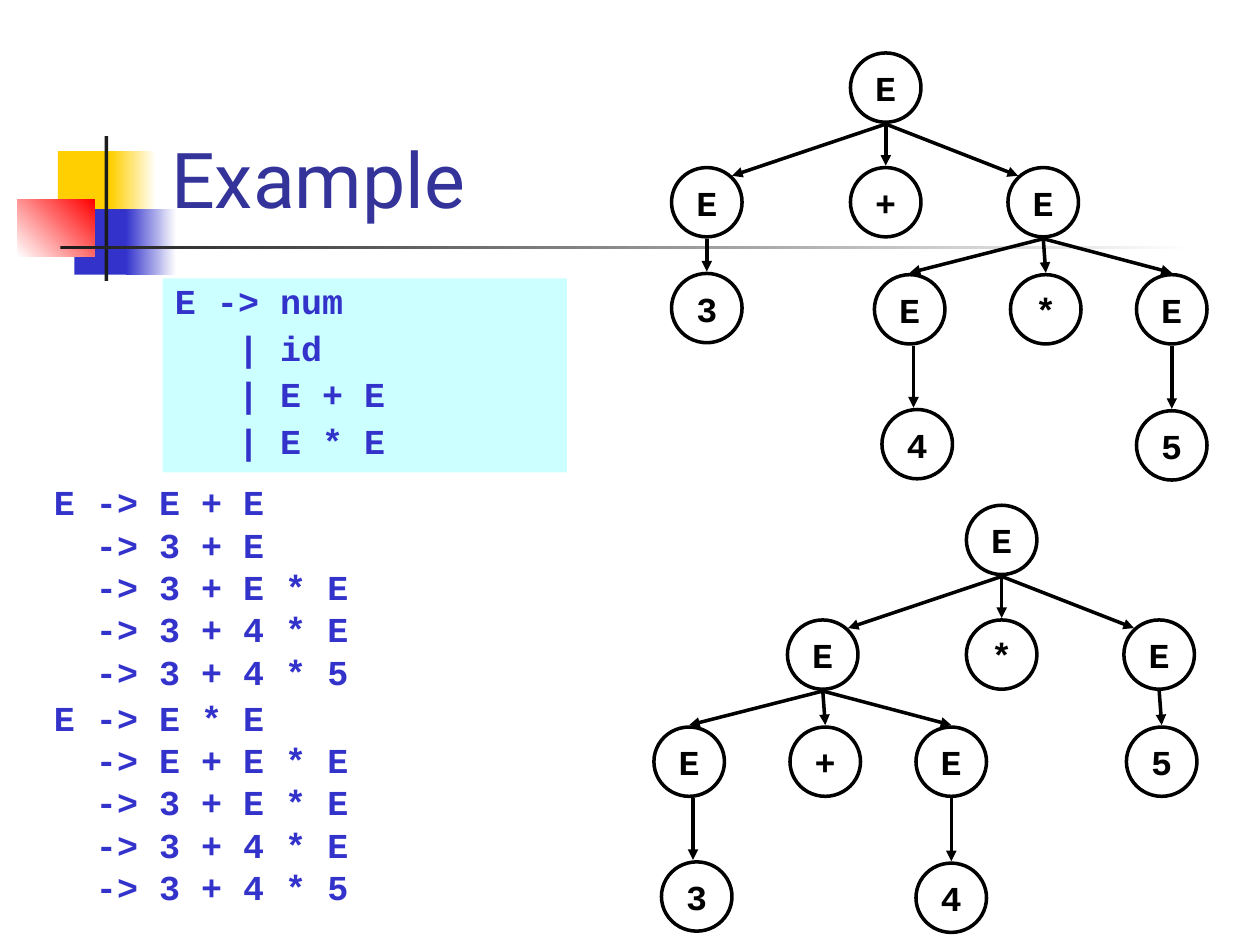
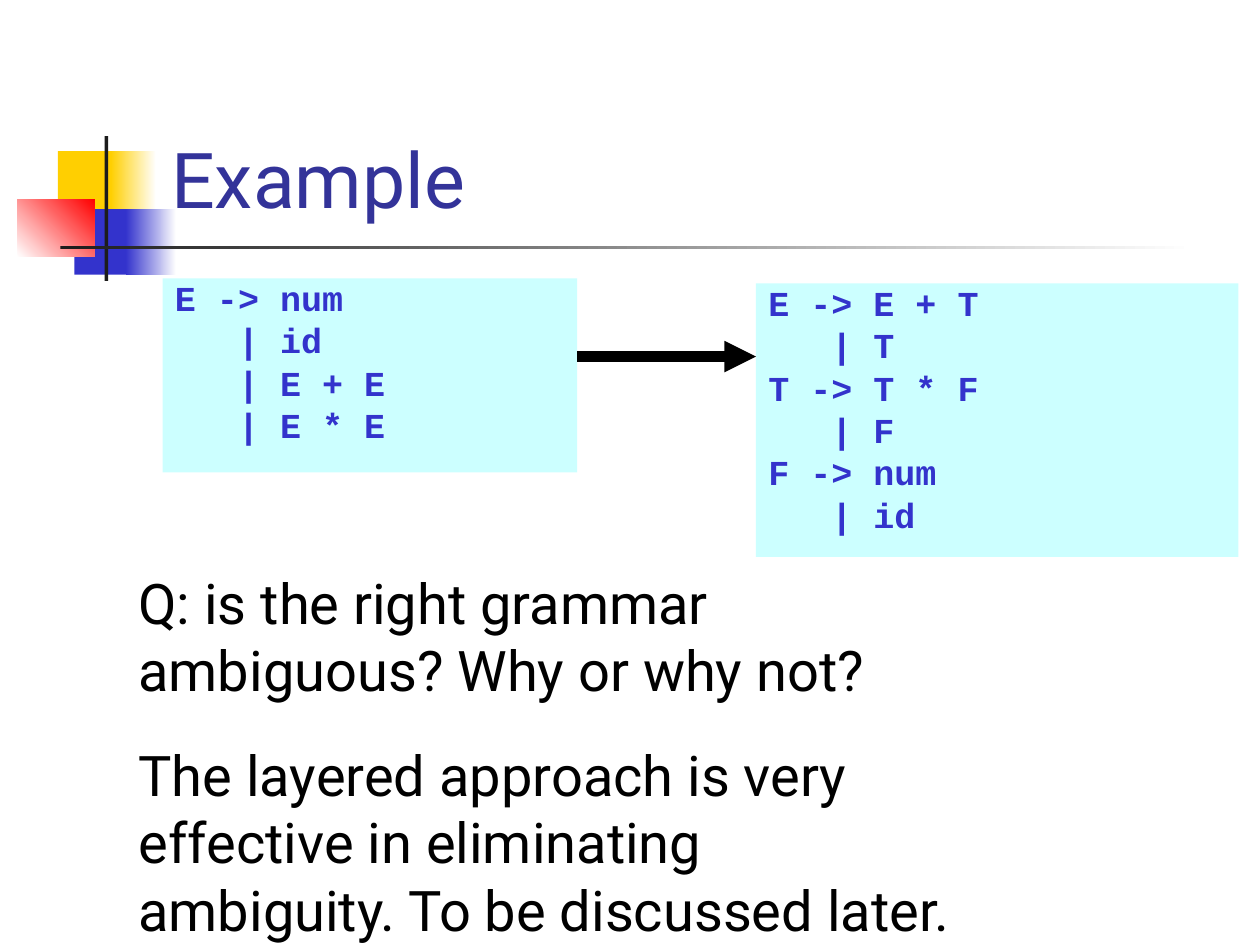
from dataclasses import dataclass

from lxml import etree
from pptx import Presentation
from pptx.dml.color import RGBColor
from pptx.enum.shapes import MSO_CONNECTOR, MSO_SHAPE
from pptx.enum.text import MSO_ANCHOR, PP_ALIGN
from pptx.oxml.ns import qn
from pptx.util import Inches, Pt

RECTANGLE = MSO_SHAPE.RECTANGLE
OVAL = MSO_SHAPE.OVAL
STRAIGHT = MSO_CONNECTOR.STRAIGHT
TOP, MIDDLE, BOTTOM = MSO_ANCHOR.TOP, MSO_ANCHOR.MIDDLE, MSO_ANCHOR.BOTTOM
CENTER = PP_ALIGN.CENTER

BLACK, WHITE, DARK = "000000", "FFFFFF", "1C1C1C"
YELLOW, BLUE, RED = "FFCF01", "3333CC", "FF0000"
CODE_BACKGROUND = "CCFFFF"

TITLE_FONT = {"name": "Roboto", "size": Pt(44), "color": "333399"}
BODY_FONT = {"name": "Roboto", "size": Pt(32), "color": BLACK}
CODE_FONT = {"name": "Courier New", "size": Pt(20), "bold": True, "color": BLUE}
NODE_FONT = {**CODE_FONT, "color": BLACK}

DECORATION = [
    ((0.46, 1.2, 0.48, 0.52), (YELLOW,), 0),
    ((0.88, 1.2, 0.36, 0.52), (YELLOW, WHITE), 0),
    ((0.59, 1.66, 0.46, 0.52), (BLUE,), 0),
    ((1, 1.66, 0.4, 0.52), (BLUE, WHITE), 0),
    ((0.14, 1.58, 0.61, 0.46), (WHITE, RED), 45),
    ((0.83, 1.08, 0.03, 1.15), (DARK,), 0),
    ((0.48, 1.95, 9, 0.03), (DARK, WHITE), 0),
]

NODE_WIDTH, NODE_HEIGHT = 0.56, 0.55
EDGE_GAP = 0.015

EXPRESSION_GRAMMAR = ["E -> num", "   | id", "   | E + E", "   | E * E"]
LAYERED_GRAMMAR = ["E -> E + T", "   | T", "T -> T * F", "   | F", "F -> num", "   | id"]
SUM_FIRST = ["E -> E + E", "  -> 3 + E", "  -> 3 + E * E", "  -> 3 + 4 * E", "  -> 3 + 4 * 5"]
PRODUCT_FIRST = ["E -> E * E", "  -> E + E * E", "  -> 3 + E * E", "  -> 3 + 4 * E", "  -> 3 + 4 * 5"]


@dataclass
class Node:
    label: str
    right: float = 0
    down: float = 0
    children: tuple = ()
    edge_start: float = 0
    edge_tip: tuple = (0, 0)


def color(value):
    return RGBColor.from_string(value)


def inches(values):
    return [Inches(value) for value in values]


def set_font(font, formats):
    for name, value in formats.items():
        if name == "color":
            font.color.rgb = color(value)
        else:
            setattr(font, name, value)


def add_block(slide, box, colors, angle=0):
    shape = slide.shapes.add_shape(RECTANGLE, *inches(box))
    shape.shadow.inherit = False
    shape.line.fill.background()
    if len(colors) == 1:
        shape.fill.solid()
        shape.fill.fore_color.rgb = color(colors[0])
    else:
        shape.fill.gradient()
        shape.fill.gradient_angle = angle
        for stop, value in zip(shape.fill.gradient_stops, colors):
            stop.color.rgb = color(value)


def add_text(slide, box, lines, formats, anchor=TOP, line_spacing=1.0, background=None):
    shape = slide.shapes.add_textbox(*inches(box))
    if background:
        shape.fill.solid()
        shape.fill.fore_color.rgb = color(background)
    frame = shape.text_frame
    frame.word_wrap = True
    frame.vertical_anchor = anchor
    for index, line in enumerate(lines):
        paragraph = frame.add_paragraph() if index else frame.paragraphs[0]
        paragraph.text = line
        paragraph.line_spacing = line_spacing
        if index:
            paragraph.space_before = Pt(5)
        set_font(paragraph.runs[0].font, formats)


def add_code(slide, box, lines, line_spacing=0.8, background=None):
    add_text(slide, box, lines, CODE_FONT, line_spacing=line_spacing, background=background)


def add_arrow(slide, start, end, width):
    connector = slide.shapes.add_connector(STRAIGHT, *inches((*start, *end)))
    connector.line.color.rgb = color(BLACK)
    connector.line.width = Pt(width)
    line = connector.line._get_or_add_ln()
    etree.SubElement(line, qn("a:tailEnd"), type="triangle")
    etree.SubElement(connector._element.spPr, qn("a:effectLst"))


def add_tree(slide, node, center, top):
    box = (center - NODE_WIDTH / 2, top, NODE_WIDTH, NODE_HEIGHT)
    shape = slide.shapes.add_shape(OVAL, *inches(box))
    shape.shadow.inherit = False
    shape.fill.background()
    shape.line.color.rgb = color(BLACK)
    shape.line.width = Pt(2)
    frame = shape.text_frame
    frame.word_wrap = False
    frame.vertical_anchor = MIDDLE
    paragraph = frame.paragraphs[0]
    paragraph.text = node.label
    paragraph.alignment = CENTER
    set_font(paragraph.runs[0].font, NODE_FONT)

    for child in node.children:
        child_center, child_top = center + child.right, top + child.down
        start = (center + child.edge_start, top + NODE_HEIGHT + EDGE_GAP)
        tip_right, tip_down = child.edge_tip
        end = (child_center + tip_right, child_top - EDGE_GAP + tip_down)
        add_arrow(slide, start, end, 2)
        add_tree(slide, child, child_center, child_top)


def root_node(operator, left, right):
    return Node("E", children=(
        Node("E", -1.42, 0.91, left, edge_tip=(0.2, 0.08)),
        Node(operator, 0, 0.91),
        Node("E", 1.25, 0.91, right, edge_tip=(-0.2, 0.08)),
    ))


def operation(left, operator, right):
    left_leaf = Node(left, 0.06, 1.07, edge_start=0.03, edge_tip=(-0.03, 0))
    return (
        Node("E", -1.06, 0.85, (left_leaf,)),
        Node(operator, 0.02, 0.85),
        Node("E", 1.02, 0.85, (Node(right, 0, 1.08),)),
    )


def add_example_slide(presentation):
    slide = presentation.slides.add_slide(presentation.slide_layouts[6])
    for box, colors, angle in DECORATION:
        add_block(slide, box, colors, angle)
    add_text(slide, (1.26, 0.23, 8.52, 1.6), ["Example"], TITLE_FONT, BOTTOM)
    return slide


def build_derivations(presentation):
    slide = add_example_slide(presentation)
    add_code(slide, (1.29, 2.21, 3.21, 1.54), EXPRESSION_GRAMMAR, 0.9, CODE_BACKGROUND)
    for top, derivation in ((3.83, SUM_FIRST), (5.54, PRODUCT_FIRST)):
        add_code(slide, (0.33, top, 7.25, 1.79), derivation)
    sum_tree = root_node("+", (Node("3", 0, 0.84),), operation("4", "*", "5"))
    product_tree = root_node("*", operation("3", "+", "4"), (Node("5", 0.02, 0.85),))
    add_tree(slide, sum_tree, 7.03, 0.42)
    add_tree(slide, product_tree, 7.95, 4.01)


def build_layered_grammar(presentation):
    slide = add_example_slide(presentation)
    add_code(slide, (1.29, 2.21, 3.29, 1.54), EXPRESSION_GRAMMAR, background=CODE_BACKGROUND)
    add_code(slide, (6, 2.25, 3.83, 2.17), LAYERED_GRAMMAR, background=CODE_BACKGROUND)
    add_arrow(slide, (4.58, 2.83), (6, 2.83), 6)
    remarks = [
        (4.46, 1.17, "Q: is the right grammar ambiguous? Why or why not?"),
        (5.83, 1.72, "The layered approach is very effective in eliminating ambiguity. To be discussed later."),
    ]
    for top, height, remark in remarks:
        add_text(slide, (1, top, 6.75, height), [remark], BODY_FONT)


def main():
    presentation = Presentation()
    presentation.slide_width = Inches(10)
    presentation.slide_height = Inches(7.5)
    build_derivations(presentation)
    build_layered_grammar(presentation)
    presentation.save("out.pptx")


if __name__ == "__main__":
    main()
